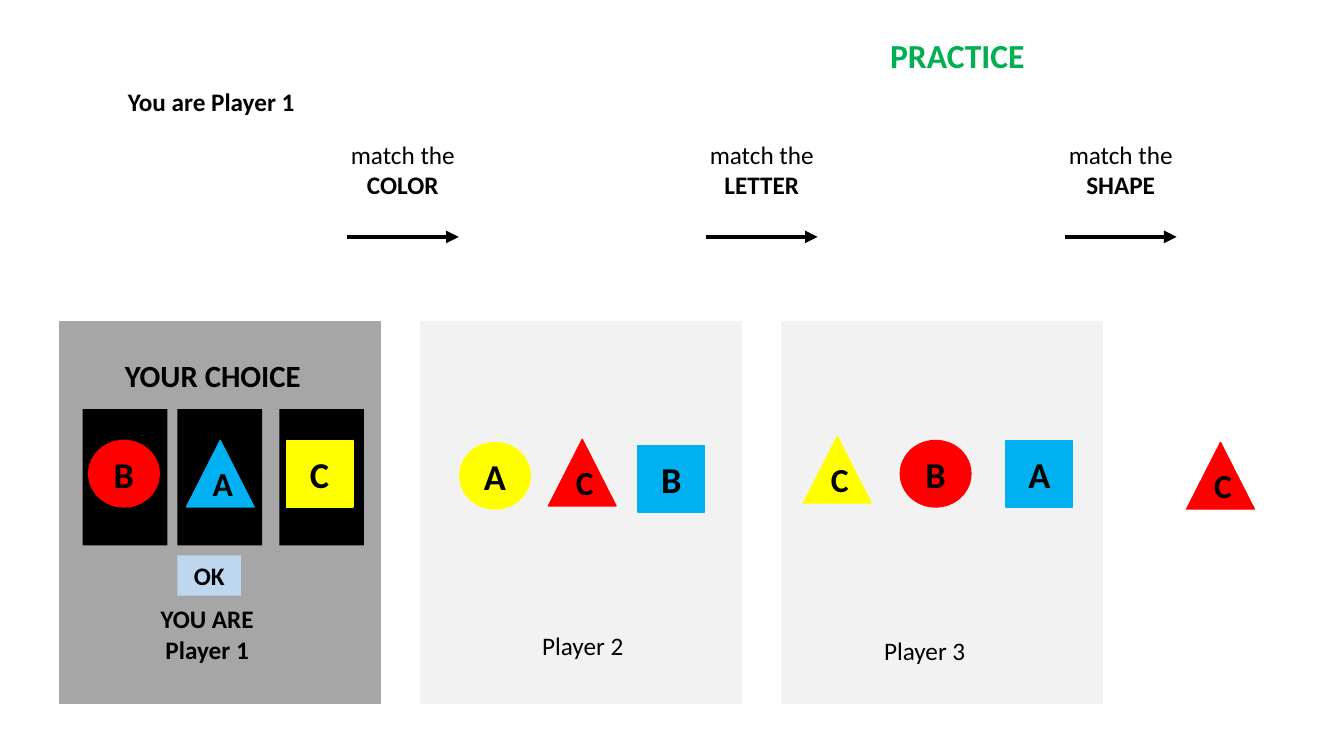
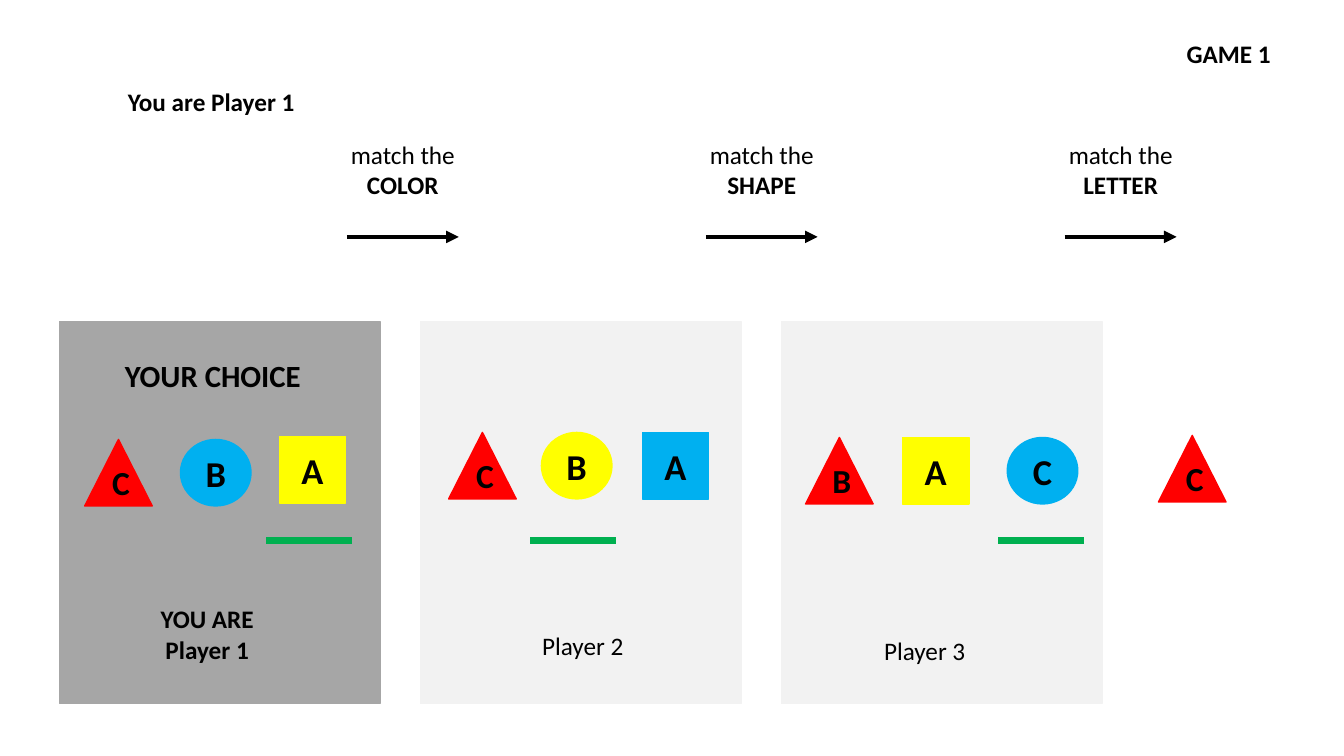
"""Build two slides of a matching game: a practice round and game 1."""
from lxml.etree import SubElement
from pptx import Presentation
from pptx.dml.color import RGBColor
from pptx.enum.shapes import MSO_CONNECTOR, MSO_SHAPE as SHAPE
from pptx.enum.text import MSO_ANCHOR, MSO_AUTO_SIZE, PP_ALIGN
from pptx.oxml.ns import qn
from pptx.util import Inches, Pt

BLACK = RGBColor(0x00, 0x00, 0x00)
RED = RGBColor(0xFF, 0x00, 0x00)
BLUE = RGBColor(0x00, 0xB0, 0xF0)
YELLOW = RGBColor(0xFF, 0xFF, 0x00)
GREEN = RGBColor(0x00, 0xB0, 0x50)
DARK = RGBColor(0xA6, 0xA6, 0xA6)
LIGHT = RGBColor(0xF2, 0xF2, 0xF2)
PALE_BLUE = RGBColor(0xBD, 0xD7, 0xEE)

FONT = "Calibri"
PANEL_LEFT, PANEL_TOP, PANEL_W, PANEL_H, PANEL_STEP = 0.59, 3.19, 3.18, 3.79, 3.58
PANEL_COLORS = [DARK, LIGHT, LIGHT]
RULE_LEFT, RULE_TOP, ARROW_Y, ARROW_W = 3.37, 1.33, 2.35, 1.11
BAR_Y, BAR_W = 5.36, 0.85
CARD_TOP, CARD_W, CARD_H = 4.06, 0.84, 1.35
TOKEN_H = 0.66
TOKEN_W = {SHAPE.ISOSCELES_TRIANGLE: 0.67, SHAPE.OVAL: 0.7, SHAPE.RECTANGLE: 0.66}
TRI, OVAL, BOX = TOKEN_W

LABELS = [
    (5.26, 6.2, 1.04, 0.4, ["Player 2"], 18, False, True),
    (8.67, 6.25, 1.23, 0.49, ["Player 3"], 18, False, False),
    (1.14, 3.49, 2.08, 0.47, ["YOUR CHOICE"], 22, True, False),
    (1.17, 0.81, 1.87, 0.4, ["You are Player 1"], 18, True, False),
    (1.49, 5.94, 1.13, 0.71, ["YOU ARE", "Player 1"], 18, True, True),
]

SLIDES = [
    dict(
        title=(8.73, 0.3, 1.55, 0.5, ["PRACTICE"], 24, True, False, GREEN),
        rules=["COLOR", "LETTER", "SHAPE"],
        cards=[0.82, 1.76, 2.77],
        button=("OK", 1.76, 5.51, 0.63, 0.4),
        bars=[],
        tokens=[
            (OVAL, RED, "B", 0.88, 4.37), (TRI, BLUE, "A", 1.85, 4.37),
            (BOX, YELLOW, "C", 2.84, 4.37),
            (OVAL, YELLOW, "A", 4.56, 4.39), (TRI, RED, "C", 5.44, 4.36),
            (BOX, BLUE, "B", 6.33, 4.42),
            (TRI, YELLOW, "C", 7.97, 4.33), (OVAL, RED, "B", 8.93, 4.37),
            (BOX, BLUE, "A", 9.98, 4.37),
            (TRI, RED, "C", 11.77, 4.39),
        ],
    ),
    dict(
        title=(11.67, 0.33, 1.05, 0.4, ["GAME 1"], 18, True, False),
        rules=["COLOR", "SHAPE", "LETTER"],
        cards=[],
        button=None,
        bars=[2.64, 5.26, 9.9],
        tokens=[
            (TRI, RED, "C", 0.84, 4.36), (OVAL, BLUE, "B", 1.79, 4.36),
            (BOX, YELLOW, "A", 2.77, 4.33),
            (TRI, RED, "C", 4.45, 4.29), (OVAL, YELLOW, "B", 5.37, 4.29),
            (BOX, BLUE, "A", 6.37, 4.29),
            (TRI, RED, "B", 7.99, 4.34), (BOX, YELLOW, "A", 8.95, 4.34),
            (OVAL, BLUE, "C", 9.99, 4.34),
            (TRI, RED, "C", 11.49, 4.32),
        ],
    ),
]


def style(p, size, bold, color=BLACK, centered=True):
    p.alignment = PP_ALIGN.CENTER if centered else PP_ALIGN.LEFT
    for r in p.runs:
        r.font.name, r.font.size, r.font.bold = FONT, Pt(size), bold
        r.font.color.rgb = color


def add_label(s, x, y, w, h, lines, size, bold, centered, color=BLACK):
    tf = s.shapes.add_textbox(*map(Inches, (x, y, w, h))).text_frame
    tf.word_wrap = False
    tf.auto_size = MSO_AUTO_SIZE.SHAPE_TO_FIT_TEXT
    tf.text = "\n".join(lines)
    for p in tf.paragraphs:
        style(p, size, bold, color, centered)
    return tf


def add_block(s, kind, fill, x, y, w, h, outlined=True):
    sp = s.shapes.add_shape(kind, *map(Inches, (x, y, w, h)))
    sp.shadow.inherit = False
    sp.fill.solid()
    sp.fill.fore_color.rgb = fill
    if outlined:
        sp.line.color.rgb = fill
        sp.line.width = Pt(1)
    else:
        sp.line.fill.background()
    return sp


def add_letter(sp, text, size):
    tf = sp.text_frame
    tf.margin_left = tf.margin_right = tf.margin_top = tf.margin_bottom = 0
    tf.vertical_anchor = MSO_ANCHOR.MIDDLE
    tf.text = text
    style(tf.paragraphs[0], size, True)
    return tf


def add_token(s, kind, fill, letter, x, y):
    sp = add_block(s, kind, fill, x, y, TOKEN_W[kind], TOKEN_H)
    tf = add_letter(sp, letter, 24 if kind == TRI else 26)
    if kind == TRI:
        tf.margin_left, tf.margin_bottom = Inches(0.05), Inches(0.15)


def add_line(s, x, y, w, color, width, arrow=False):
    c = s.shapes.add_connector(
        MSO_CONNECTOR.STRAIGHT, *map(Inches, (x, y, x + w, y)))
    c.line.color.rgb = color
    c.line.width = Pt(width)
    if arrow:
        SubElement(c.line._get_or_add_ln(), qn("a:tailEnd"), type="triangle")
    SubElement(c._element.spPr, qn("a:effectLst"))


def add_board(s, rules):
    for i, (fill, rule) in enumerate(zip(PANEL_COLORS, rules)):
        step = i * PANEL_STEP
        add_block(s, SHAPE.RECTANGLE, fill, PANEL_LEFT + step, PANEL_TOP,
                  PANEL_W, PANEL_H)
        x = RULE_LEFT + i * 3.56
        tf = add_label(s, x, RULE_TOP, 1.25, 0.71, ["match the", rule],
                       18, False, True)
        tf.paragraphs[1].runs[0].font.bold = True
        add_line(s, x + 0.07, ARROW_Y, ARROW_W, BLACK, 3, arrow=True)
    for label in LABELS:
        add_label(s, *label)


def main():
    prs = Presentation()
    prs.slide_width, prs.slide_height = Inches(13.33), Inches(7.5)
    for game in SLIDES:
        s = prs.slides.add_slide(prs.slide_layouts[6])
        add_board(s, game["rules"])
        add_label(s, *game["title"])
        for x in game["cards"]:
            add_block(s, SHAPE.RECTANGLE, BLACK, x, CARD_TOP, CARD_W, CARD_H, False)
        for token in game["tokens"]:
            add_token(s, *token)
        if game["button"]:
            text, *place = game["button"]
            add_letter(add_block(s, SHAPE.RECTANGLE, PALE_BLUE, *place, False), text, 18)
        for x in game["bars"]:
            add_line(s, x, BAR_Y, BAR_W, GREEN, 5)
    prs.save("out.pptx")


if __name__ == "__main__":
    main()
